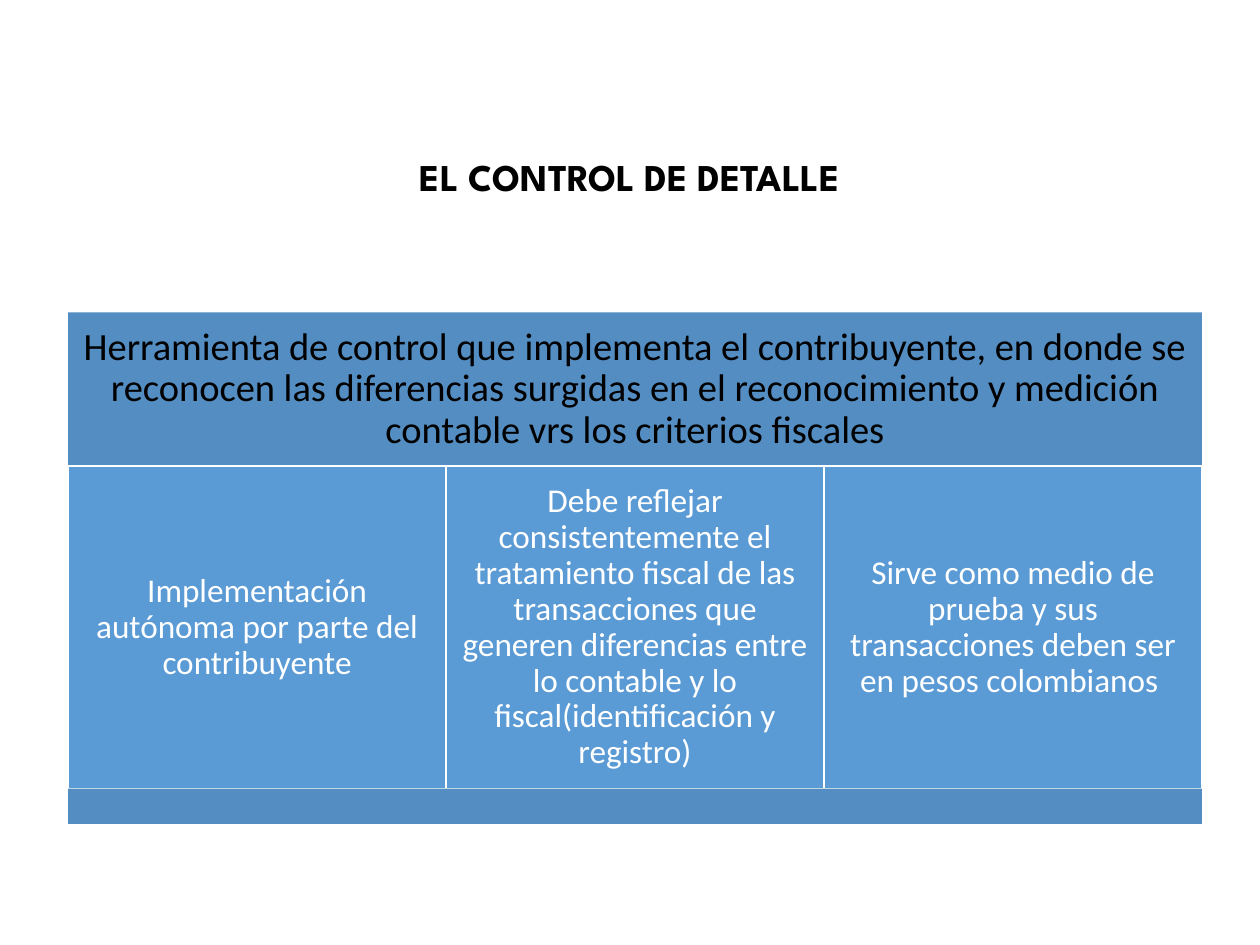
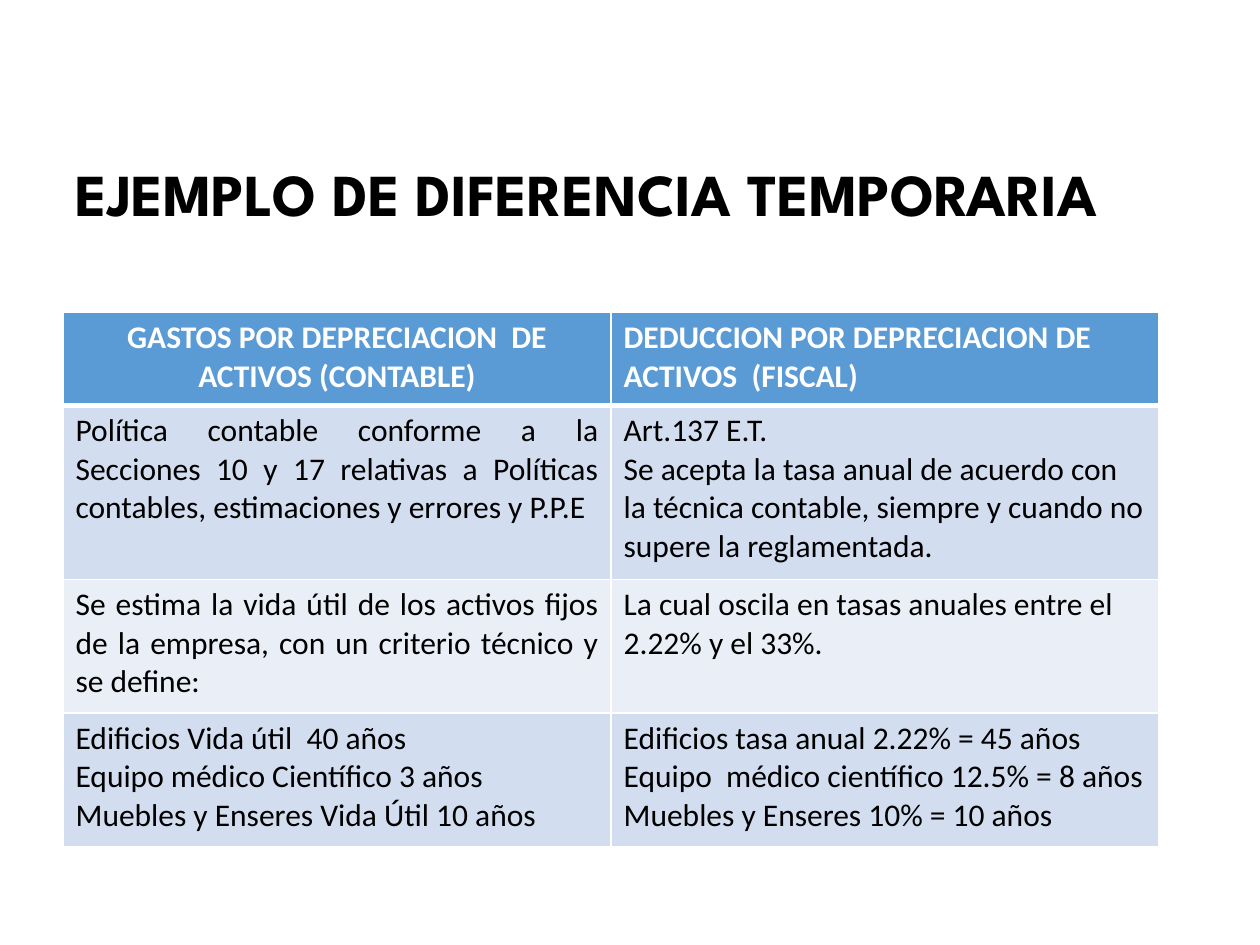
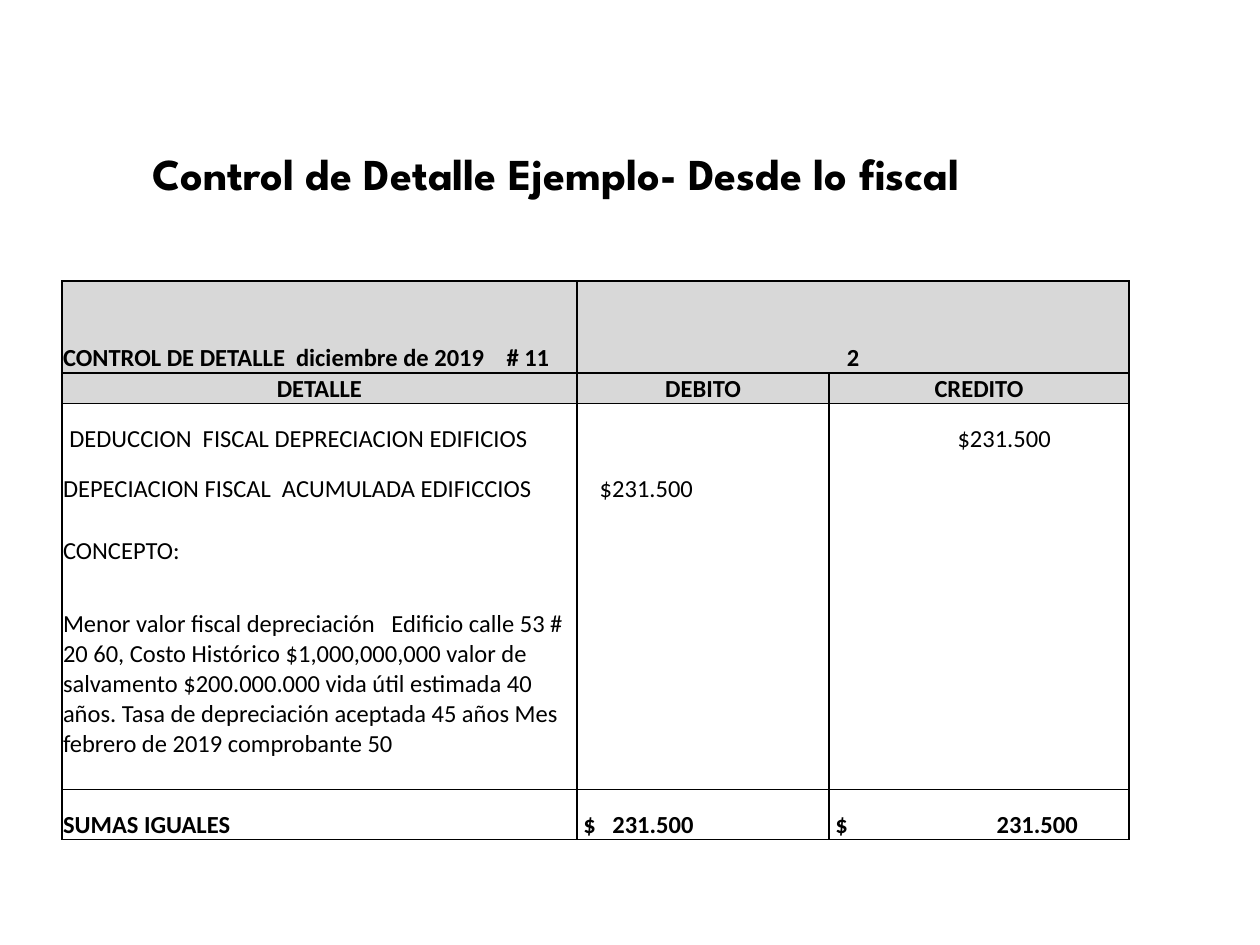
from lxml.etree import SubElement
from pptx import Presentation
from pptx.dml.color import RGBColor
from pptx.enum.shapes import MSO_SHAPE as Preset
from pptx.enum.text import MSO_ANCHOR as Anchor, PP_ALIGN as Align
from pptx.oxml.ns import qn
from pptx.util import Inches, Pt

WIDTH, HEIGHT = 10, 7.5
BLACK = RGBColor(0x00, 0x00, 0x00)
WHITE = RGBColor(0xFF, 0xFF, 0xFF)
BLUE = RGBColor(0x5B, 0x9B, 0xD5)
DARK_BLUE = RGBColor(0x53, 0x8D, 0xC1)
BAND = RGBColor(0xD2, 0xDE, 0xEF)
LIGHT_BAND = RGBColor(0xEA, 0xEF, 0xF7)
GREY = RGBColor(0xD8, 0xD8, 0xD8)
BODY_FONT, TITLE_FONT = "Calibri", "League Spartan"

TITLES = [
    dict(text="EL CONTROL DE DETALLE", box=(0.5, 1.24, 9, 0.38), size=21.6,
         align=Align.CENTER, spacing=0.7),
    dict(text="EJEMPLO DE DIFERENCIA TEMPORARIA", box=(0.5, 1.32, 9, 0.55), size=34),
    dict(text="Control de Detalle Ejemplo- Desde lo fiscal", box=(1.11, 1.26, 9, 0.38), size=25.2),
]

DEFINITION = (
    "Herramienta de control que implementa el contribuyente, en donde se reconocen las "
    "diferencias surgidas en el reconocimiento y medición contable vrs los criterios fiscales"
)
FEATURES = [
    "Implementación autónoma por parte del contribuyente",
    "Debe reflejar consistentemente el tratamiento fiscal de las transacciones que generen "
    "diferencias entre lo contable y lo fiscal(identificación y registro)",
    "Sirve como medio de prueba y sus transacciones deben ser en pesos colombianos ",
]

DEPRECIATION = [
    (["GASTOS POR DEPRECIACION  DE ACTIVOS (CONTABLE)"],
     ["DEDUCCION POR DEPRECIACION DE ACTIVOS  (FISCAL)"]),
    (["Política contable conforme a la Secciones 10 y 17 relativas a Políticas contables, "
      "estimaciones y errores y P.P.E"],
     ["Art.137 E.T.",
      "Se acepta la tasa anual de acuerdo con la técnica contable, siempre y cuando no supere "
      "la reglamentada."]),
    (["Se estima la vida útil de los activos fijos de la empresa, con un criterio técnico y se define:"],
     ["La cual oscila en tasas anuales entre el 2.22% y el 33%."]),
    (["Edificios Vida útil  40 años", "Equipo médico Científico 3 años",
      "Muebles y Enseres Vida Útil 10 años"],
     ["Edificios tasa anual 2.22% = 45 años", "Equipo  médico científico 12.5% = 8 años",
      "Muebles y Enseres 10% = 10 años"]),
]
DEPRECIATION_ROWS = [0.74, 1.38, 1.06, 1.06]

LEDGER = [
    ("CONTROL DE DETALLE  diciembre de 2019\t# 11", "2", ""),
    ("DETALLE", "DEBITO", "CREDITO"),
    ("DEDUCCION  FISCAL DEPRECIACION EDIFICIOS", "", "$231.500"),
    ("DEPECIACION FISCAL  ACUMULADA EDIFICCIOS", "$231.500", ""),
    ("", "", ""),
    ("CONCEPTO:", "", ""),
    ("Menor valor fiscal depreciación   Edificio calle 53 # 20 60, Costo Histórico $1,000,000,000 "
     "valor de salvamento $200.000.000 vida útil estimada 40 años. Tasa de depreciación aceptada "
     "45 años Mes febrero de 2019 comprobante 50", "", ""),
    ("", "", ""),
    ("SUMAS IGUALES", "$\t231.500", "$\t231.500"),
]
LEDGER_COLUMNS = [4.09, 2, 2.38]
LEDGER_ROWS = [0.73, 0.24, 0.4, 0.4, 0.24, 0.24, 1.53, 0.24, 0.4]
LEDGER_INDENTS = {(2, 0): 0.05, (2, 2): 1.01, (3, 1): 0.17, (8, 1): 0.04, (8, 2): 0.04}
LEDGER_TABS = {(0, 0): 3.52, (8, 1): 0.23, (8, 2): 1.28}
RULED_ABOVE, RULED_BELOW = {0, 1, 2, 8}, {0, 1, 7, 8}


def write(frame, paragraphs, size, color, font=BODY_FONT, bold=False, align=Align.LEFT,
          spacing=None, anchor=Anchor.TOP, margins=(0.1, 0.05, 0.1, 0.05)):
    frame.word_wrap = True
    frame.vertical_anchor = anchor
    set_margins(frame, margins)
    for index, text in enumerate(paragraphs):
        paragraph = frame.paragraphs[0] if index == 0 else frame.add_paragraph()
        paragraph.alignment = align
        if spacing:
            paragraph.line_spacing = spacing
        if not text:
            SubElement(paragraph._p, qn("a:endParaRPr"), sz=str(int(size * 100)))
            continue
        run = paragraph.add_run()
        run.text = text
        for name, value in dict(name=font, size=Pt(size), bold=bold).items():
            setattr(run.font, name, value)
        run.font.color.rgb = color


def set_margins(target, margins):
    for side, value in zip(("left", "top", "right", "bottom"), margins):
        setattr(target, f"margin_{side}", Inches(value))


def add_title(slide, text, box, size, align=Align.LEFT, spacing=0.9):
    title = slide.shapes.add_textbox(*map(Inches, box))
    write(title.text_frame, [text], size, BLACK, TITLE_FONT, True, align, spacing, Anchor.BOTTOM)


def add_block(slide, box, fill, line=None):
    block = slide.shapes.add_shape(Preset.RECTANGLE, *map(Inches, box))
    block.shadow.inherit = False
    block.fill.solid()
    block.fill.fore_color.rgb = fill
    if line:
        block.line.color.rgb = line
        block.line.width = Pt(1)
    else:
        block.line.fill.background()
    return block


def add_grid(slide, left, top, columns, rows):
    table = slide.shapes.add_table(
        len(rows), len(columns), *map(Inches, (left, top, sum(columns), sum(rows)))).table
    table.first_row = table.horz_banding = False
    for column, width in zip(table.columns, columns):
        column.width = Inches(width)
    for row, height in zip(table.rows, rows):
        row.height = Inches(height)
    return table


def style_cell(cell, fill, color, widths):
    properties = cell._tc.get_or_add_tcPr()
    for side, width in zip("LRTB", widths):
        line = SubElement(properties, qn(f"a:ln{side}"), w=str(Pt(width)))
        if width:
            solid = SubElement(line, qn("a:solidFill"))
            SubElement(solid, qn("a:srgbClr"), val=str(color))
        else:
            SubElement(line, qn("a:noFill"))
    if fill:
        cell.fill.solid()
        cell.fill.fore_color.rgb = fill
    else:
        cell.fill.background()


def write_cell(cell, paragraphs, margins, anchor=Anchor.TOP, **style):
    write(cell.text_frame, paragraphs, **style)
    cell.vertical_anchor = anchor
    set_margins(cell, margins)


def build_definition(slide):
    left, top, width = 0.54, 2.48, 9
    head, body, foot = 1.22, 2.56, 0.28
    header = add_block(slide, (left, top, width, head), DARK_BLUE)
    centred = dict(align=Align.CENTER, spacing=0.9, anchor=Anchor.MIDDLE)
    write(header.text_frame, [DEFINITION], 22, BLACK, margins=[0.09] * 4, **centred)
    step = width / len(FEATURES)
    for index, feature in enumerate(FEATURES):
        block = add_block(slide, (left + index * step, top + head, step, body), BLUE, WHITE)
        write(block.text_frame, [feature], 19, WHITE, margins=[0.08] * 4, **centred)
    add_block(slide, (left, top + head + body, width, foot), DARK_BLUE)


def build_depreciation(slide):
    table = add_grid(slide, 0.5, 2.48, [4.35, 4.35], DEPRECIATION_ROWS)
    for r, row in enumerate(DEPRECIATION):
        header = r == 0
        fill = BLUE if header else (LIGHT_BAND, BAND)[r % 2]
        first_align = Align.CENTER if header else Align.JUSTIFY
        for c, paragraphs in enumerate(row):
            cell = table.cell(r, c)
            style_cell(cell, fill, WHITE, (1, 1, 3 if r == 1 else 1, 3 if header else 1))
            write_cell(cell, paragraphs, (0.1, 0.05, 0.1, 0.05), size=18, bold=header,
                       color=WHITE if header else BLACK, align=Align.LEFT if c else first_align)


def build_ledger(slide):
    table = add_grid(slide, 0.49, 2.23, LEDGER_COLUMNS, LEDGER_ROWS)
    table.cell(0, 1).merge(table.cell(0, 2))
    for r, row in enumerate(LEDGER):
        for c, text in enumerate(row):
            cell = table.cell(r, c)
            style_cell(cell, GREY if r < 2 else None, BLACK,
                       (1, 1, int(r in RULED_ABOVE), int(r in RULED_BELOW)))
            if cell.is_spanned:
                continue
            centred = r == 1 or (r == 0 and c == 1)
            write_cell(cell, [text], (0.01, 0.01, 0.01, 0), Anchor.BOTTOM, size=14, color=BLACK,
                       bold=r in (0, 1, 8), align=Align.CENTER if centred else Align.LEFT)
            properties = cell.text_frame.paragraphs[0]._p.get_or_add_pPr()
            if (r, c) in LEDGER_INDENTS:
                properties.set("marL", str(Inches(LEDGER_INDENTS[r, c])))
            if (r, c) in LEDGER_TABS:
                tabs = SubElement(properties, qn("a:tabLst"))
                SubElement(tabs, qn("a:tab"), pos=str(Inches(LEDGER_TABS[r, c])), algn="l")


def main():
    presentation = Presentation()
    presentation.slide_width, presentation.slide_height = Inches(WIDTH), Inches(HEIGHT)
    for title, build in zip(TITLES, (build_definition, build_depreciation, build_ledger)):
        slide = presentation.slides.add_slide(presentation.slide_layouts[6])
        build(slide)
        add_title(slide, **title)
    presentation.save("out.pptx")


if __name__ == "__main__":
    main()
